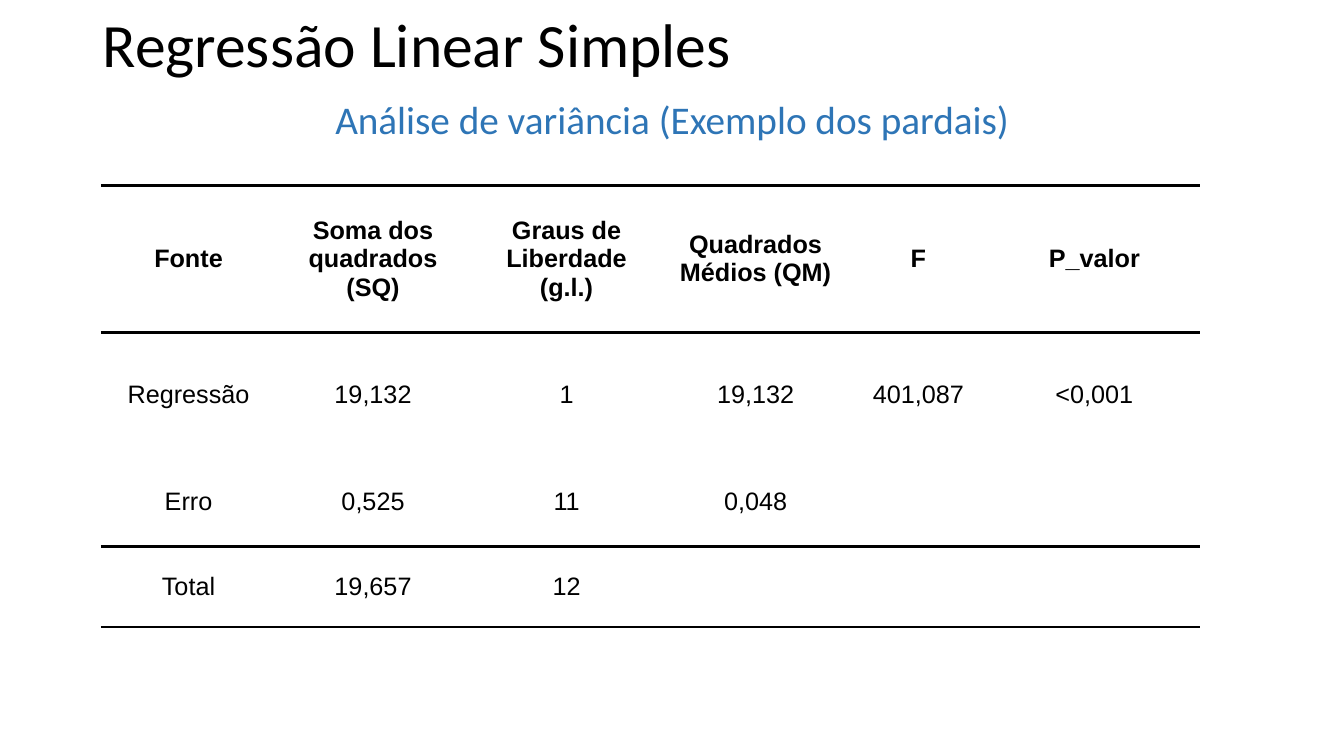
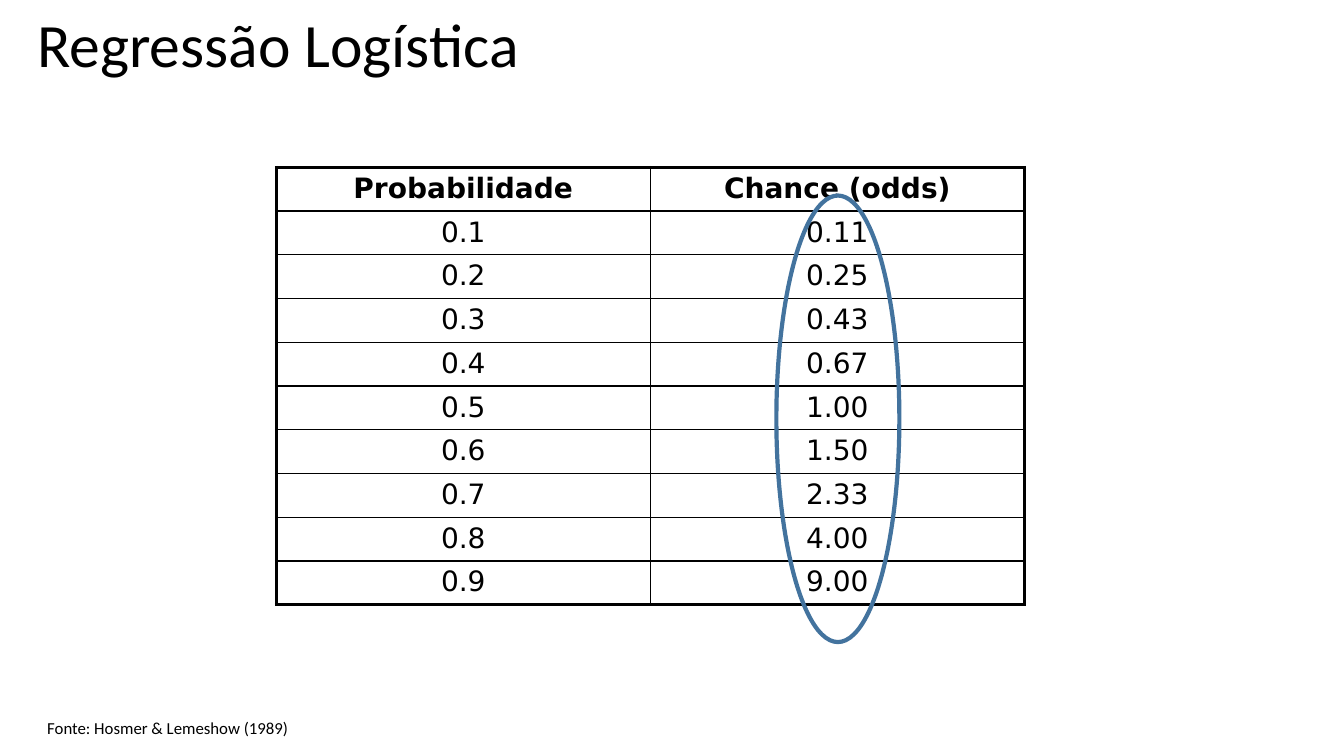
import dataclasses

import lxml.etree
import pptx
import pptx.dml.color
import pptx.enum.shapes
import pptx.enum.text
import pptx.oxml.ns
import pptx.slide
import pptx.text.text
import pptx.util

Inches = pptx.util.Inches
Pt = pptx.util.Pt
ALIGN = pptx.enum.text.PP_ALIGN
ANCHOR = pptx.enum.text.MSO_ANCHOR

COLORS = {"text": "000000", "subtitle": "2E75B6", "ring": "43739E", "paper": "FFFFFF"}
BODY_FONT = "Calibri"
THICK, THIN, NONE = 2.25, 1, 0


@dataclasses.dataclass(frozen=True)
class Label:
    """A text box; box is left, top, width, height in inches."""
    text: str
    box: tuple[float, float, float, float]
    size: float
    color: str = "text"
    align: ALIGN = ALIGN.LEFT
    anchor: ANCHOR = ANCHOR.TOP
    line_spacing: float = 1.0
    wrap: bool = True


@dataclasses.dataclass(frozen=True)
class Grid:
    """A table; row_rules and col_rules are line widths at each boundary."""
    left: float
    top: float
    cols: list[float]
    rows: list[float]
    cells: list[list[str]]
    row_rules: list[float]
    col_rules: list[float]
    font: str
    size: float
    anchor: ANCHOR


def rgb(name: str) -> pptx.dml.color.RGBColor:
    """Return a palette colour."""
    return pptx.dml.color.RGBColor.from_string(COLORS[name])


def style(p: pptx.text.text._Paragraph, font: str, size: float,
          color: str = "text", bold: bool = False) -> None:
    """Set the font of a whole paragraph."""
    p.font.name = font
    p.font.size = Pt(size)
    p.font.bold = bold
    p.font.color.rgb = rgb(color)


def add_label(s: pptx.slide.Slide, label: Label) -> None:
    """Draw one text box."""
    tf = s.shapes.add_textbox(*map(Inches, label.box)).text_frame
    tf.word_wrap = label.wrap
    tf.vertical_anchor = label.anchor
    p = tf.paragraphs[0]
    p.text = label.text
    p.alignment = label.align
    p.line_spacing = label.line_spacing
    style(p, BODY_FONT, label.size, label.color)


def add_title(s: pptx.slide.Slide, text: str, left: float) -> None:
    """Draw the slide title."""
    add_label(s, Label(text, (left, -0.25, 11.5, 1.45), 44,
                       anchor=ANCHOR.MIDDLE, line_spacing=0.9))


def set_borders(cell: pptx.table._Cell, widths: dict[str, float]) -> None:
    """Set cell borders, given in the order L, R, T, B; zero means no line."""
    tc_pr = cell._tc.get_or_add_tcPr()
    qn = pptx.oxml.ns.qn
    for i, (side, width) in enumerate(widths.items()):
        ln = lxml.etree.Element(qn(f"a:ln{side}"), w=str(int(Pt(width))))
        if width:
            fill = lxml.etree.SubElement(ln, qn("a:solidFill"))
            lxml.etree.SubElement(fill, qn("a:srgbClr"), val=COLORS["text"])
        else:
            lxml.etree.SubElement(ln, qn("a:noFill"))
        tc_pr.insert(i, ln)


def add_grid(s: pptx.slide.Slide, grid: Grid) -> None:
    """Draw a ruled table with a bold header row."""
    table = s.shapes.add_table(
        len(grid.rows), len(grid.cols), Inches(grid.left), Inches(grid.top),
        Inches(sum(grid.cols)), Inches(sum(grid.rows))).table
    table.first_row = table.horz_banding = False
    for column, width in zip(table.columns, grid.cols):
        column.width = Inches(width)
    for row, height in zip(table.rows, grid.rows):
        row.height = Inches(height)
    for i, texts in enumerate(grid.cells):
        for j, text in enumerate(texts):
            cell = table.cell(i, j)
            cell.text = text
            cell.vertical_anchor = grid.anchor
            cell.fill.background()
            p = cell.text_frame.paragraphs[0]
            p.alignment = ALIGN.CENTER
            style(p, grid.font, grid.size, bold=i == 0)
            set_borders(cell, {"L": grid.col_rules[j], "R": grid.col_rules[j + 1],
                               "T": grid.row_rules[i], "B": grid.row_rules[i + 1]})


def add_ring(s: pptx.slide.Slide, box: tuple[float, float, float, float]) -> None:
    """Draw an unfilled ellipse around the highlighted values."""
    sp = s.shapes.add_shape(pptx.enum.shapes.MSO_SHAPE.OVAL, *map(Inches, box))
    sp.shadow.inherit = False
    sp.fill.background()
    sp.line.color.rgb = rgb("ring")
    sp.line.width = Pt(3)


def add_slide(prs: pptx.presentation.Presentation) -> pptx.slide.Slide:
    """Add a blank slide with the shared background."""
    s = prs.slides.add_slide(prs.slide_layouts[6])
    s.background.fill.solid()
    s.background.fill.fore_color.rgb = rgb("paper")
    return s


ANOVA = Grid(
    left=1, top=1.84,
    cols=[1.74, 1.92, 1.92, 1.83, 1.4, 2.09],
    rows=[1.46, 1.23, 0.89, 0.8],
    cells=[
        ["Fonte", "Soma dos quadrados (SQ)", "Graus de Liberdade (g.l.)",
         "Quadrados Médios (QM)", "F", "P_valor"],
        ["Regressão", "19,132", "1", "19,132", "401,087", "<0,001"],
        ["Erro", "0,525", "11", "0,048", "", ""],
        ["Total", "19,657", "12", "", "", ""],
    ],
    row_rules=[THICK, THICK, NONE, THICK, THICK], col_rules=[NONE] * 7,
    font="Arial", size=18, anchor=ANCHOR.MIDDLE)

PROBABILITIES = [n / 10 for n in range(1, 10)]
ODDS = Grid(
    left=2.74, top=1.66, cols=[3.71] * 2, rows=[0.434] * 10,
    cells=[["Probabilidade", "Chance (odds)"],
           *([f"{prob:.1f}", f"{prob / (1 - prob):.2f}"] for prob in PROBABILITIES)],
    row_rules=[THICK, *[THIN] * 9, THICK], col_rules=[THICK, THIN, THICK],
    font="DejaVu Sans", size=20, anchor=ANCHOR.TOP)


def build_anova(prs: pptx.presentation.Presentation) -> None:
    """Build the analysis of variance slide."""
    s = add_slide(prs)
    add_title(s, "Regressão Linear Simples", 0.92)
    add_label(s, Label("Análise de variância (Exemplo dos pardais)",
                       (0.29, 0.95, 12.75, 0.72), 28, "subtitle",
                       ALIGN.CENTER, line_spacing=0.9))
    add_grid(s, ANOVA)


def build_odds(prs: pptx.presentation.Presentation) -> None:
    """Build the probability and odds slide."""
    s = add_slide(prs)
    add_title(s, "Regressão Logística", 0.27)
    add_label(s, Label("Fonte: Hosmer & Lemeshow (1989)",
                       (0.37, 7.07, 2.63, 0.3), 12, wrap=False))
    add_grid(s, ODDS)
    add_ring(s, (7.7, 1.94, 1.22, 4.43))


prs = pptx.Presentation()
prs.slide_width = Inches(13.33)
prs.slide_height = Inches(7.5)
build_anova(prs)
build_odds(prs)
prs.save("out.pptx")
